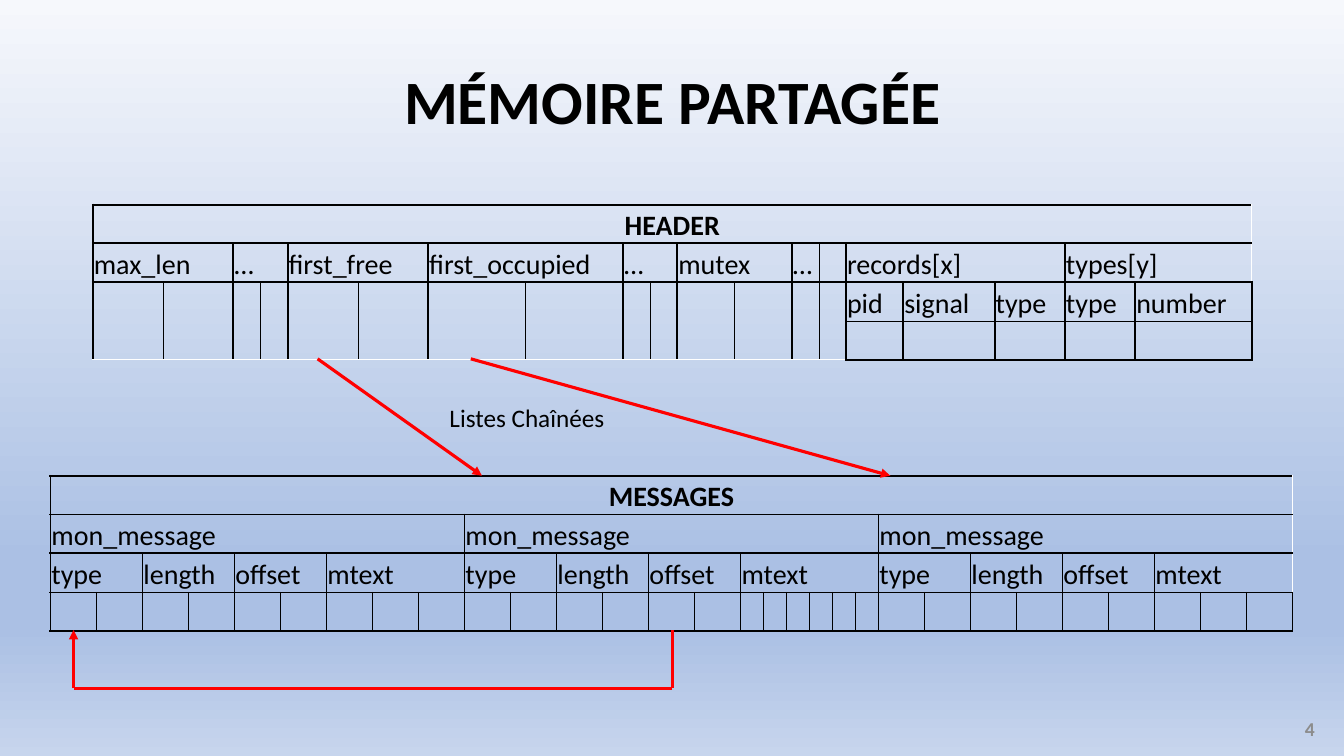
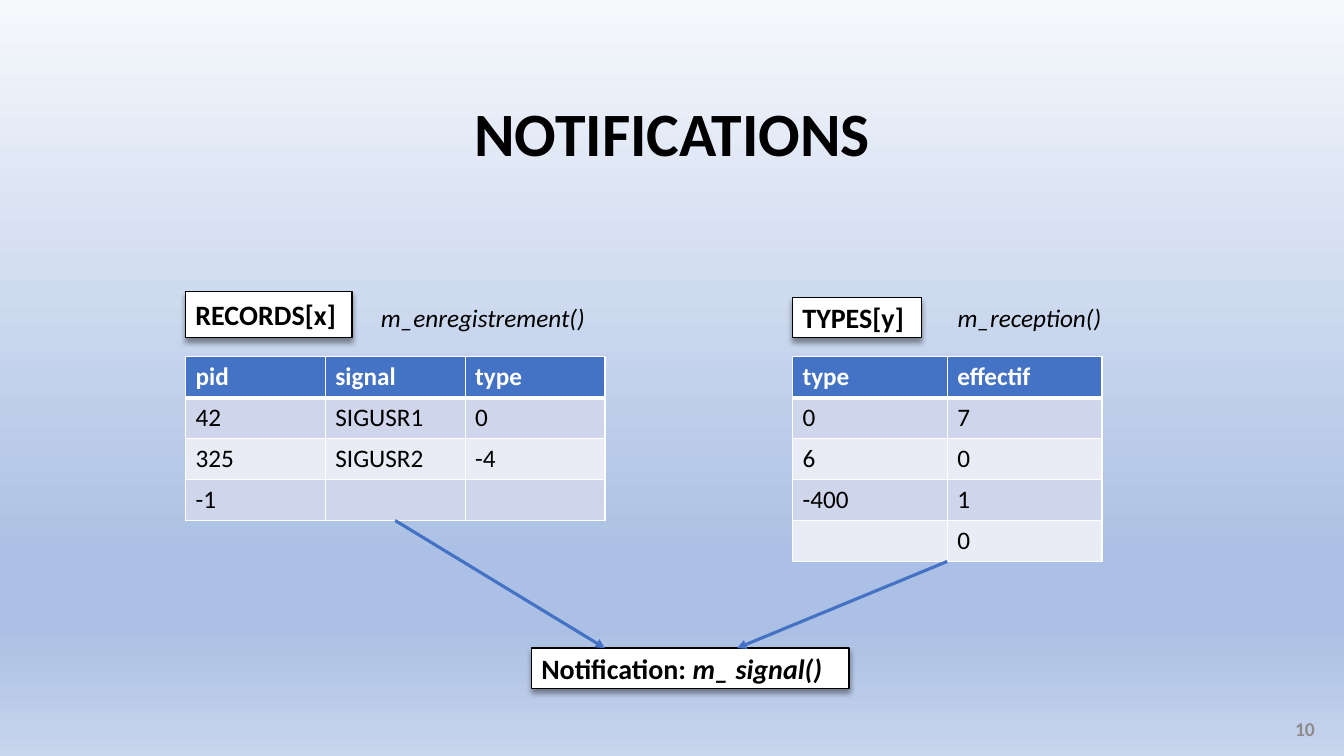
from dataclasses import dataclass

from lxml.etree import SubElement
from pptx import Presentation
from pptx.dml.color import RGBColor
from pptx.enum.shapes import MSO_CONNECTOR, MSO_SHAPE
from pptx.enum.text import MSO_ANCHOR as ANCHOR, PP_ALIGN as ALIGN
from pptx.oxml.ns import qn
from pptx.util import Inches, Pt

FONT = "Calibri"
BLACK = RGBColor(0x00, 0x00, 0x00)
WHITE = RGBColor(0xFF, 0xFF, 0xFF)
GRAY = RGBColor(0x8C, 0x8C, 0x8C)
RED = RGBColor(0xFF, 0x00, 0x00)
BLUE = RGBColor(0x44, 0x72, 0xC4)
BANDS = (RGBColor(0xCF, 0xD5, 0xEA), RGBColor(0xE9, 0xEB, 0xF5))
BACKGROUND = [(0, "F6F8FC"), (74, "ABC0E4"), (83, "ABC0E4"), (100, "C7D5ED")]

WIDTH, HEIGHT = 13.33, 7.5
THICK, THIN = 1.5, 0.5
MEMORY_ROW, DATA_ROW = 0.385, 0.406


@dataclass
class Field:
    name: str
    widths: list
    subfields: tuple = ()
    split: bool = False   # the name stays in the first column
    thick_edge: int = 0   # inner edge drawn as thick as the outer ones


HEADER = [
    Field("max_len", [0.7] * 2),
    Field("…", [0.27] * 2),
    Field("first_free", [0.7] * 2),
    Field("first_occupied", [0.97] * 2),
    Field("…", [0.27] * 2),
    Field("mutex", [0.57] * 2),
    Field("…", [0.27] * 2, split=True),
    Field("records[x]", [0.57, 0.91, 0.7], ("pid", "signal", "type")),
    Field("types[y]", [0.7, 1.16], ("type", "number")),
]
HEADER_AT = (0.92, 2.03, 11.5)

PAIRS = [Field(name, [0.46] * 2) for name in ("type", "length", "offset")]
SHORT_MESSAGE = PAIRS + [Field("mtext", [0.46] * 3)]
LONG_MESSAGE = PAIRS + [Field("mtext", [0.23] * 6, thick_edge=5)]
MESSAGES = [("mon_message", fields)
            for fields in (SHORT_MESSAGE, LONG_MESSAGE, SHORT_MESSAGE)]
MESSAGES_AT = (0.5, 4.72, 12.33)

# start, end, has an arrowhead
LIST_LINKS = [
    ((3.15, 3.56), (4.78, 4.72), True),
    ((4.67, 3.56), (8.83, 4.72), True),
    ((6.67, 6.25), (6.67, 6.83), False),
    ((6.67, 6.83), (0.73, 6.83), False),
    ((0.73, 6.83), (0.73, 6.25), True),
]

RECORDS = [("pid", "signal", "type"), ("42", "SIGUSR1", "0"),
           ("325", "SIGUSR2", "-4"), ("-1", "", "")]
TYPES = [("type", "effectif"), ("0", "7"), ("6", "0"), ("-400", "1"), ("", "0")]
DATA_TOP = 3.54
# rows, left, width, label, label box, function, function left
NOTIFIERS = [
    (RECORDS, 1.84, 4.16, "RECORDS[x]", (1.84, 2.89, 1.65, 0.46),
     "m_enregistrement()", 3.68),
    (TYPES, 7.86, 3.07, "TYPES[y]", (7.86, 2.95, 1.28, 0.4),
     "m_reception()", 9.4),
]
NOTIFICATION_BOX = (5.27, 6.43, 3.15, 0.4)
NOTIFICATION_ENDS = (6, 7.31)


def inches(*lengths):
    return [Inches(length) for length in lengths]


def write(paragraph, text, size, color=BLACK, bold=False, italic=False):
    run = paragraph.add_run()
    run.text = text
    font = run.font
    font.name, font.size, font.bold, font.italic = FONT, Pt(size), bold, italic
    font.color.rgb = color


def text_box(slide, box, text, size, align=ALIGN.LEFT, anchor=ANCHOR.TOP, **style):
    frame = slide.shapes.add_textbox(*inches(*box)).text_frame
    frame.word_wrap = True
    frame.vertical_anchor = anchor
    paragraph = frame.paragraphs[0]
    paragraph.alignment = align
    write(paragraph, text, size, **style)
    return paragraph


def set_background(master):
    fill = master.background.fill
    fill.gradient()
    fill.gradient_angle = 270
    stops = next(master.element.iter(qn("a:gsLst")))
    for stop in list(stops):
        stops.remove(stop)
    for position, color in BACKGROUND:
        stop = SubElement(stops, qn("a:gs"), pos=str(position * 1000))
        SubElement(stop, qn("a:srgbClr"), val=color)


def add_slide(prs, title, title_box, number):
    slide = prs.slides.add_slide(prs.slide_layouts[6])
    heading = text_box(slide, title_box, title, 44, ALIGN.CENTER, ANCHOR.MIDDLE, bold=True)
    heading.line_spacing = 0.9
    text_box(slide, (10.14, 7.03, 3, 0.4), number, 14, ALIGN.RIGHT, ANCHOR.MIDDLE,
             color=GRAY, bold=True)
    return slide


def link(slide, start, end, color, arrow=True):
    line = slide.shapes.add_connector(MSO_CONNECTOR.STRAIGHT, *inches(*start, *end))
    line.line.color.rgb = color
    line.line.width = Pt(2.25)
    if arrow:
        SubElement(line.line._get_or_add_ln(), qn("a:tailEnd"), type="triangle")
    SubElement(line._element.spPr, qn("a:effectLst"))


def label_box(slide, box, runs):
    """White box with a soft shadow; runs are (text, italic) pairs."""
    shape = slide.shapes.add_shape(MSO_SHAPE.RECTANGLE, *inches(*box))
    shape.fill.solid()
    shape.fill.fore_color.rgb = WHITE
    shape.line.color.rgb = BLACK
    shape.line.width = Pt(1)
    shape.shadow.inherit = False
    effects = shape._element.spPr.find(qn("a:effectLst"))
    shadow = SubElement(effects, qn("a:outerShdw"), blurRad=str(Pt(4)), dist=str(Pt(3)),
                        dir="5400000", algn="t", rotWithShape="0")
    black = SubElement(shadow, qn("a:srgbClr"), val=str(BLACK))
    SubElement(black, qn("a:alpha"), val="40000")
    frame = shape.text_frame
    frame.word_wrap = True
    frame.vertical_anchor = ANCHOR.MIDDLE
    frame.paragraphs[0].alignment = ALIGN.LEFT
    for text, italic in runs:
        write(frame.paragraphs[0], text, 20, bold=True, italic=italic)


def set_borders(cell, color, widths):
    """widths maps the sides L, R, T, B to points."""
    properties = cell._tc.get_or_add_tcPr()
    sides = [side for side in "LRTB" if side in widths]
    for place, side in enumerate(sides):
        line = SubElement(properties, qn("a:ln" + side), w=str(Pt(widths[side])))
        fill = SubElement(line, qn("a:solidFill"))
        SubElement(fill, qn("a:srgbClr"), val=str(color))
        properties.insert(place, line)


def add_table(slide, left, top, widths, row_count, row_height):
    frame = slide.shapes.add_table(
        row_count, len(widths), *inches(left, top, sum(widths), row_count * row_height))
    table = frame.table
    table.first_row = table.horz_banding = False
    for column, width in zip(table.columns, widths):
        column.width = Inches(width)
    for row in table.rows:
        row.height = Inches(row_height)
    return table


def inner_sides(index, count, thick_edge=0):
    """Sides of a column that are thin because they lie inside its field."""
    left = "L" if index and index != thick_edge else ""
    right = "R" if index + 1 < count and index + 1 != thick_edge else ""
    return left + right


# A block is (row, column, rows, columns, text, thin sides).
def header_blocks(fields):
    column = 0
    for field in fields:
        count = len(field.widths)
        if field.split:
            for i, text in enumerate((field.name, "")):
                yield 1, column + i, 1, 1, text, inner_sides(i, count)
        else:
            yield 1, column, 1, count, field.name, ""
        for i in range(count):
            if field.subfields:
                yield 2, column + i, 1, 1, field.subfields[i], "B"
                yield 3, column + i, 1, 1, "", "T"
            else:
                yield 2, column + i, 2, 1, "", inner_sides(i, count)
        column += count


def message_blocks(messages):
    column = 0
    for message, fields in messages:
        yield 1, column, 1, sum(len(f.widths) for f in fields), message, ""
        for field in fields:
            count = len(field.widths)
            yield 2, column, 1, count, field.name, "B"
            for i in range(count):
                sides = inner_sides(i, count, field.thick_edge)
                yield 3, column + i, 1, 1, "", "T" + sides
            column += count


def memory_table(slide, place, title, fields, blocks):
    left, top, total = place
    shares = [width for field in fields for width in field.widths]
    widths = [share * total / sum(shares) for share in shares]
    table = add_table(slide, left, top, widths, 4, MEMORY_ROW)
    for row in table.rows:
        for cell in row.cells:
            cell.fill.background()
            cell.margin_left = cell.margin_right = cell.margin_top = Inches(0.01)
            cell.margin_bottom = 0
            cell.vertical_anchor = ANCHOR.BOTTOM
    for row, column, rows, columns, text, thin in [(0, 0, 1, len(widths), title, ""), *blocks]:
        first = table.cell(row, column)
        last_row, last_column = row + rows - 1, column + columns - 1
        if rows * columns > 1:
            first.merge(table.cell(last_row, last_column))
        for r in range(row, last_row + 1):
            for c in range(column, last_column + 1):
                outer = {"L": c == column, "R": c == last_column,
                         "T": r == row, "B": r == last_row}
                set_borders(table.cell(r, c), BLACK,
                            {side: THIN if side in thin else THICK
                             for side, shown in outer.items() if shown})
        if text:
            paragraph = first.text_frame.paragraphs[0]
            paragraph.alignment = ALIGN.LEFT if row else ALIGN.CENTER
            write(paragraph, text, 20, bold=row == 0)


def data_table(slide, left, width, rows):
    count = len(rows[0])
    table = add_table(slide, left, DATA_TOP, [width / count] * count, len(rows), DATA_ROW)
    for r, texts in enumerate(rows):
        for c, text in enumerate(texts):
            cell = table.cell(r, c)
            cell.fill.solid()
            cell.fill.fore_color.rgb = BANDS[(r - 1) % 2] if r else BLUE
            set_borders(cell, WHITE, {"L": 1, "R": 1, "T": 3 if r == 1 else 1,
                                      "B": 1 if r else 3})
            if text:
                write(cell.text_frame.paragraphs[0], text, 18,
                      color=BLACK if r else WHITE, bold=r == 0)


def memory_slide(prs):
    slide = add_slide(prs, "MÉMOIRE PARTAGÉE", (2.6, 0.52, 8.14, 1.04), "4")
    memory_table(slide, HEADER_AT, "HEADER", HEADER, header_blocks(HEADER))
    message_fields = [field for _, fields in MESSAGES for field in fields]
    memory_table(slide, MESSAGES_AT, "MESSAGES", message_fields, message_blocks(MESSAGES))
    for start, end, arrow in LIST_LINKS:
        link(slide, start, end, RED, arrow)
    text_box(slide, (4.36, 3.94, 1.83, 0.4), "Listes Chaînées", 18)


def notification_slide(prs):
    slide = add_slide(prs, "NOTIFICATIONS", (3.92, 0.83, 5.5, 1.04), "10")
    label_box(slide, NOTIFICATION_BOX, [("Notification: ", False), ("m_ signal()", True)])
    for notifier, end in zip(NOTIFIERS, NOTIFICATION_ENDS):
        rows, left, width, label, box, function, function_left = notifier
        data_table(slide, left, width, rows)
        label_box(slide, box, [(label, False)])
        text_box(slide, (function_left, 2.95, 2.46, 0.4), function, 18, italic=True)
        bottom = DATA_TOP + len(rows) * DATA_ROW
        link(slide, (left + width / 2, bottom), (end, NOTIFICATION_BOX[1]), BLUE)


def main():
    prs = Presentation()
    prs.slide_width, prs.slide_height = inches(WIDTH, HEIGHT)
    set_background(prs.slide_master)
    memory_slide(prs)
    notification_slide(prs)
    prs.save("out.pptx")


if __name__ == "__main__":
    main()
